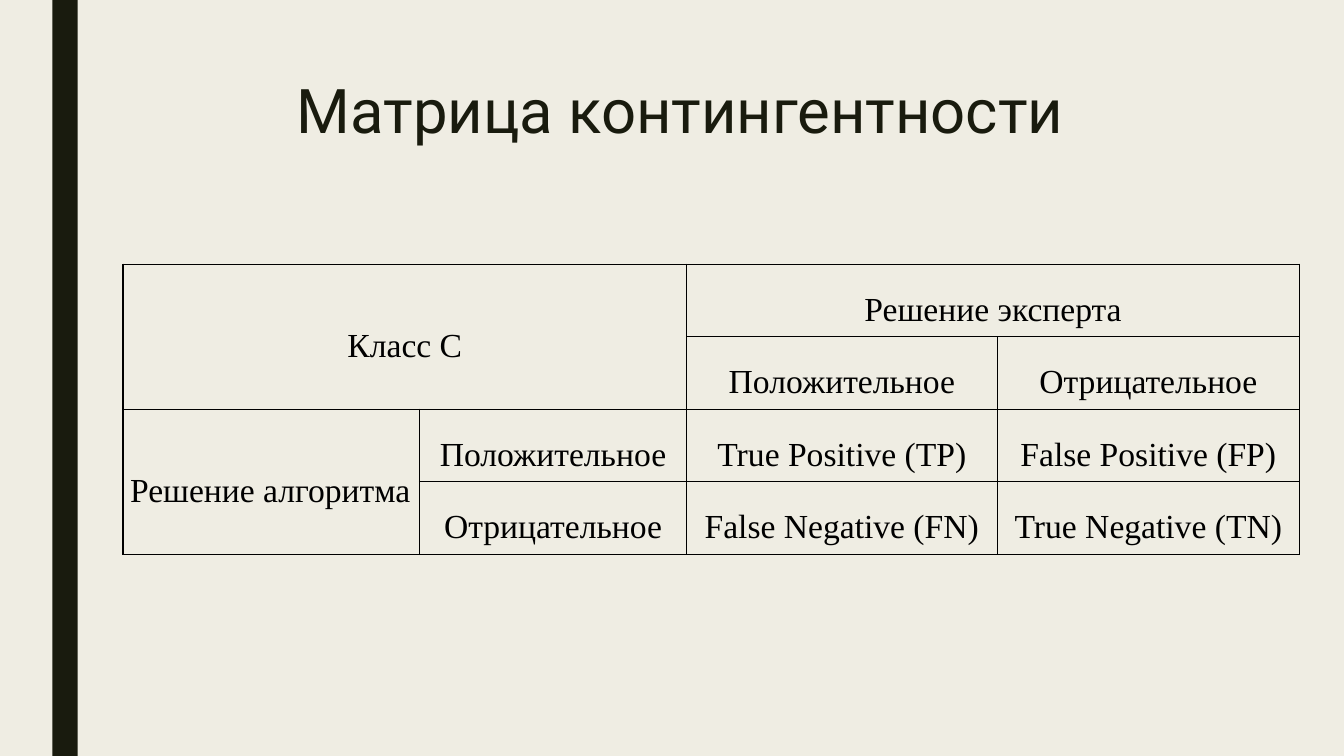
from lxml import etree
from pptx import Presentation
from pptx.dml.color import RGBColor
from pptx.enum.shapes import MSO_SHAPE
from pptx.enum.text import MSO_ANCHOR, MSO_AUTO_SIZE, PP_ALIGN
from pptx.oxml import parse_xml
from pptx.oxml.ns import nsdecls
from pptx.util import Inches, Pt

COLORS = {"bg": "EFEDE3", "dark": "191B0E", "black": "000000"}


def write(tf, text, *, font, size, color, align=PP_ALIGN.CENTER, spacing=1.0):
    p = tf.paragraphs[0]
    p.alignment = align
    p.line_spacing = spacing
    r = p.add_run()
    r.text = text
    r.font.name = font
    r.font.size = Pt(size)
    r.font.bold = False
    r.font.color.rgb = RGBColor.from_string(COLORS[color])


def add_borders(cell, color, width):
    tcPr = cell._tc.get_or_add_tcPr()
    for i, side in enumerate(("lnL", "lnR", "lnT", "lnB")):
        tcPr.insert(i, parse_xml(
            f'<a:{side} {nsdecls("a")} w="{Pt(width)}"><a:solidFill>'
            f'<a:srgbClr val="{COLORS[color]}"/></a:solidFill></a:{side}>'))


prs = Presentation()
prs.slide_width = Inches(13.33)
prs.slide_height = Inches(7.5)
s = prs.slides.add_slide(prs.slide_layouts[5])
s.background.fill.solid()
s.background.fill.fore_color.rgb = RGBColor.from_string(COLORS["bg"])

bar = s.shapes.add_shape(MSO_SHAPE.RECTANGLE, Inches(0.52), 0, Inches(0.25), prs.slide_height)
bar.shadow.inherit = False
bar.fill.solid()
bar.fill.fore_color.rgb = RGBColor.from_string(COLORS["dark"])
bar.line.fill.background()

title = s.shapes.title
title.left, title.top = Inches(1.5), Inches(0.75)
title.width, title.height = Inches(10.5), Inches(1.62)
tf = title.text_frame
tf.word_wrap = True
tf.auto_size = MSO_AUTO_SIZE.NONE
tf.vertical_anchor = MSO_ANCHOR.TOP
write(tf, "Матрица контингентности", font="Roboto", size=44, color="dark", spacing=0.89)

rows = [
    ["Класс C", "", "Решение эксперта", ""],
    ["", "", "Положительное", "Отрицательное"],
    ["Решение алгоритма", "Положительное", "True Positive (TP)", "False Positive (FP)"],
    ["", "Отрицательное", "False Negative (FN)", "True Negative (TN)"],
]
col_widths = [2.94, 2.65, 3.08, 3]
row_height = 0.72
merges = [((0, 0), (1, 1)), ((0, 2), (0, 3)), ((2, 0), (3, 0))]

table = s.shapes.add_table(len(rows), len(col_widths), Inches(1.22), Inches(2.62),
                           Inches(sum(col_widths)), Inches(row_height * len(rows))).table
table.first_row = False
table.horz_banding = False
for col, width in zip(table.columns, col_widths):
    col.width = Inches(width)
for row in table.rows:
    row.height = Inches(row_height)
for start, end in merges:
    table.cell(*start).merge(table.cell(*end))

for i, texts in enumerate(rows):
    for j, text in enumerate(texts):
        cell = table.cell(i, j)
        cell.fill.background()
        add_borders(cell, "black", 1)
        cell.margin_left = cell.margin_right = Inches(0.07)
        cell.margin_top = cell.margin_bottom = 0
        cell.vertical_anchor = MSO_ANCHOR.MIDDLE
        if text:
            align = PP_ALIGN.LEFT if (i, j) == (2, 0) else PP_ALIGN.CENTER
            write(cell.text_frame, text, font="Times New Roman", size=24,
                  color="black", align=align, spacing=1.5)

prs.save("out.pptx")
